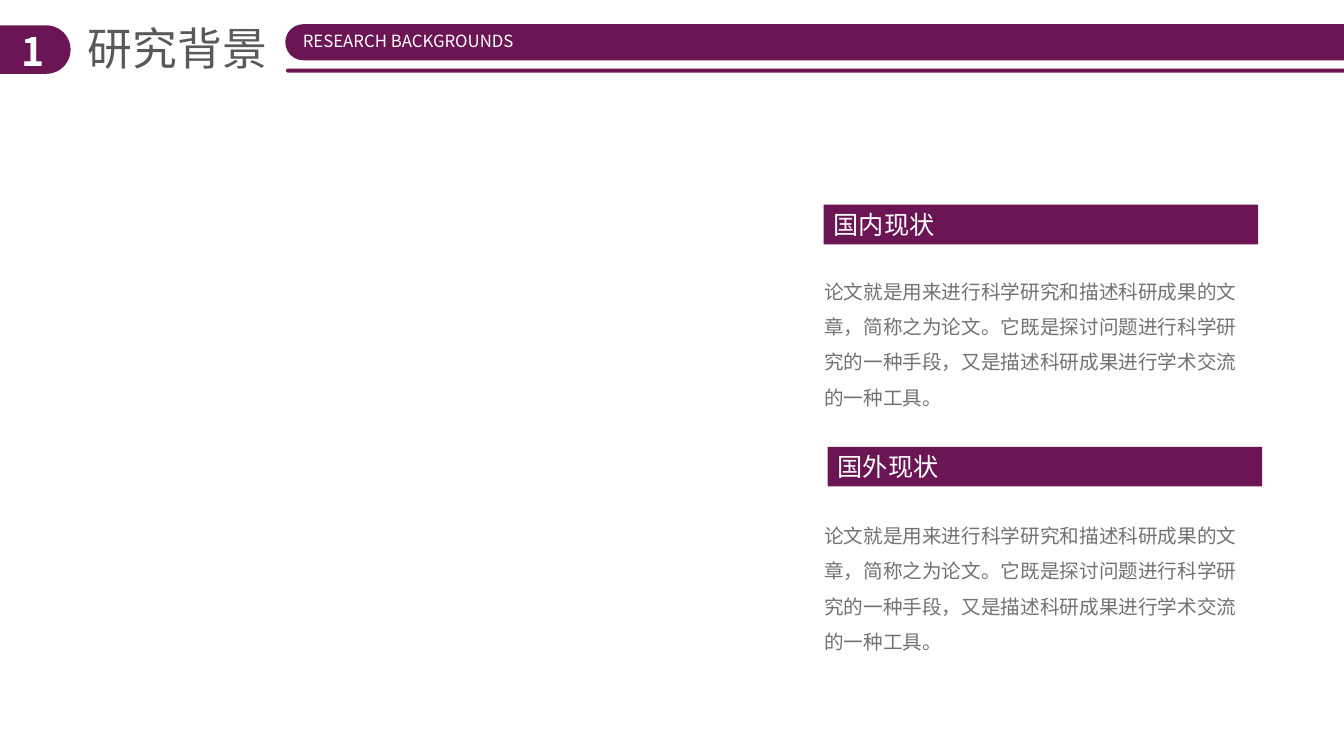
import pptx
import pptx.util
import pptx.dml.color
import pptx.enum.shapes
import pptx.enum.text
import pptx.oxml

Cm = pptx.util.Cm
Align = pptx.enum.text.PP_ALIGN
Shape = pptx.enum.shapes.MSO_SHAPE
FONT = "Noto Sans CJK SC"
COLORS = {"plum": "6B1554", "white": "FFFFFF", "title": "595959", "body": "767171"}

deck = pptx.Presentation()
deck.slide_width, deck.slide_height = Cm(33.87), Cm(19.05)
slide = deck.slides.add_slide(deck.slide_layouts[6])


def add_bar(kind, left, top, width, height):
    bar = slide.shapes.add_shape(kind, Cm(left), Cm(top), Cm(width), Cm(height))
    bar.shadow.inherit = False
    bar.fill.solid()
    bar.fill.fore_color.rgb = pptx.dml.color.RGBColor.from_string(COLORS["plum"])
    bar.line.fill.background()
    if kind == Shape.ROUNDED_RECTANGLE:
        bar.adjustments[0] = 0.5


def add_label(text, left, top, width, height, size, color, align=Align.LEFT, wrap=False):
    label = slide.shapes.add_textbox(Cm(left), Cm(top), Cm(width), Cm(height))
    frame = label.text_frame
    frame.text = text
    frame.word_wrap = wrap
    frame.auto_size = pptx.enum.text.MSO_AUTO_SIZE.SHAPE_TO_FIT_TEXT
    paragraph = frame.paragraphs[0]
    paragraph.alignment = align
    font = paragraph.runs[0].font
    font.size = pptx.util.Pt(size)
    font.name = FONT
    font.color.rgb = pptx.dml.color.RGBColor.from_string(COLORS[color])
    east_asian = pptx.oxml.parse_xml(
        '<a:ea xmlns:a="http://schemas.openxmlformats.org/drawingml/2006/main" '
        f'typeface="{FONT}"/>')
    paragraph.runs[0]._r.rPr.find(pptx.oxml.ns.qn("a:latin")).addnext(east_asian)
    return paragraph


add_bar(Shape.ROUNDED_RECTANGLE, -0.71, 0.64, 2.49, 1.22)
section_number = add_label("1", 0.18, 0.56, 1.3, 1.45, 28, "white", Align.CENTER, True)
section_number.runs[0].font.bold = True

add_label("研究背景", 1.96, 0.41, 5.08, 1.63, 32, "title")

add_bar(Shape.ROUNDED_RECTANGLE, 7.19, 0.61, 28.02, 0.91)
add_bar(Shape.ROUNDED_RECTANGLE, 7.21, 1.73, 28.02, 0.1)
add_label("RESEARCH BACKGROUNDS", 7.24, 0.66, 6.1, 0.76, 12, "white", Align.CENTER)

summary = ("论文就是用来进行科学研究和描述科研成果的文章，简称之为论文。"
           "它既是探讨问题进行科学研究的一种手段，又是描述科研成果进行学术交流的一种工具。")
sections = [
    ("国内现状", 20.76, 5.16, 6.63),
    ("国外现状", 20.86, 11.26, 12.78),
]
for heading, left, top, summary_top in sections:
    add_bar(Shape.RECTANGLE, left, top, 10.95, 1)
    add_label(heading, left, top - 0.02, 3.07, 1.02, 18, "white")
    body = add_label(summary, 20.52, summary_top, 11.28, 3.84, 14, "body", wrap=True)
    body.line_spacing = 1.5

deck.save("out.pptx")
